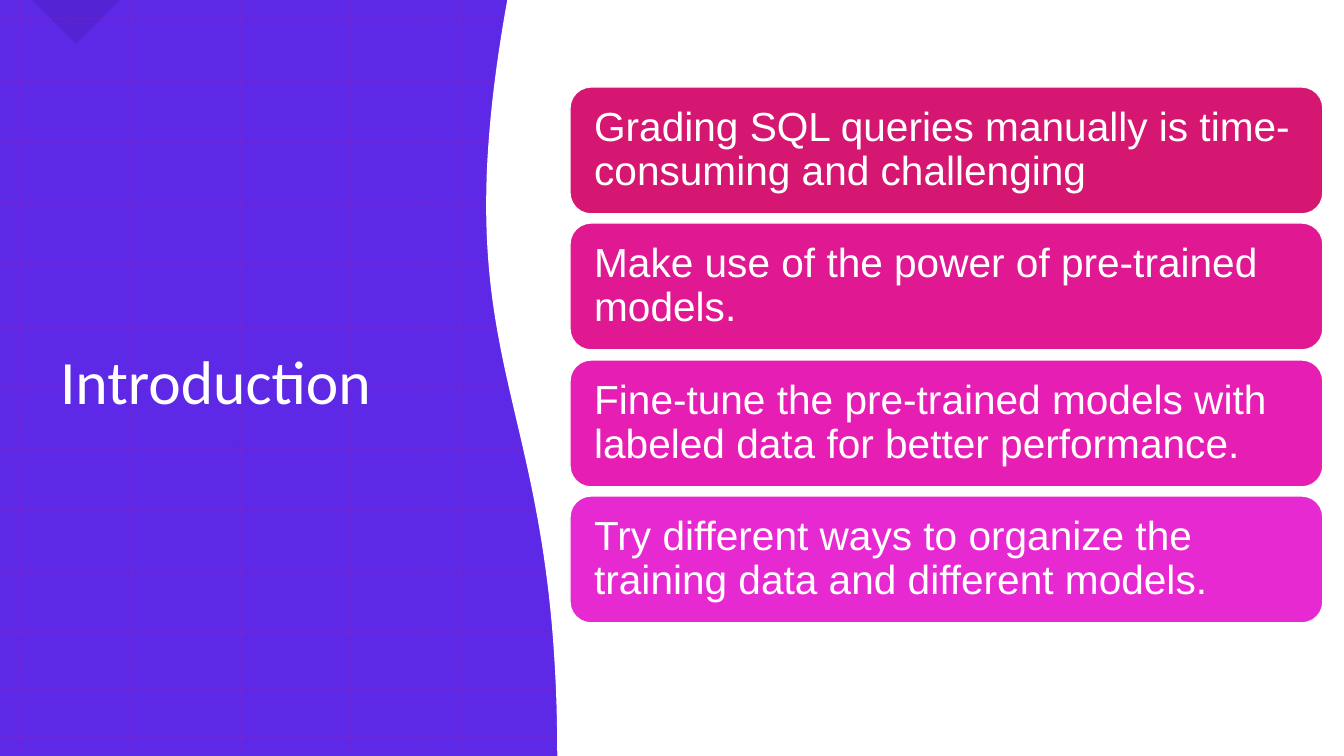
from dataclasses import dataclass

from lxml import etree
from pptx import Presentation
from pptx.dml.color import RGBColor
from pptx.enum.dml import MSO_LINE
from pptx.enum.shapes import MSO_CONNECTOR, MSO_SHAPE
from pptx.enum.text import MSO_ANCHOR, MSO_AUTO_SIZE, PP_ALIGN
from pptx.oxml.ns import qn
from pptx.util import Pt

WIDTH, HEIGHT = 1344, 756
EMU_PER_PX = 914400 / 100.8


@dataclass(frozen=True)
class Theme:
    panel: str = "5D29E7"
    corner: str = "2B0E7A"
    grid: str = "D51771"
    white: str = "FFFFFF"
    title_font: str = "Calibri"
    body_font: str = "Arial"
    title_size: int = 44
    body_size: int = 29


THEME = Theme()

CARDS = [
    ("Grading SQL queries manually is time-consuming and challenging", "D51771"),
    ("Make use of the power of pre-trained models.", "E01892"),
    ("Fine-tune the pre-trained models with labeled data for better performance.", "E61EB4"),
    ("Try different ways to organize the training data and different models.", "E729D2"),
]


def px(n):
    return round(n * EMU_PER_PX)


def set_alpha(fill_parent, percent):
    """Make the solid colour directly under the given XML element translucent."""
    color = fill_parent.find(qn("a:solidFill"))[0]
    etree.SubElement(color, qn("a:alpha")).set("val", str(percent * 1000))


def paint(sp, fill, line=None):
    sp.shadow.inherit = False
    sp.fill.solid()
    sp.fill.fore_color.rgb = RGBColor.from_string(fill)
    if line:
        sp.line.color.rgb = RGBColor.from_string(line)
        sp.line.width = Pt(1)
    else:
        sp.line.fill.background()


def add_block(slide, kind, x, y, w, h, fill, line=None):
    sp = slide.shapes.add_shape(kind, px(x), px(y), px(w), px(h))
    paint(sp, fill, line)
    return sp


def write(sp, text, *, font, size, color, inset=10):
    """Set left-aligned, vertically centred text with tight line spacing."""
    tf = sp.text_frame
    tf.word_wrap = True
    tf.auto_size = MSO_AUTO_SIZE.NONE
    tf.vertical_anchor = MSO_ANCHOR.MIDDLE
    tf.margin_left = tf.margin_right = px(inset)
    p = tf.paragraphs[0]
    p.alignment = PP_ALIGN.LEFT
    p.line_spacing = 0.9
    r = p.add_run()
    r.text = text
    r.font.name = font
    r.font.size = Pt(size)
    r.font.color.rgb = RGBColor.from_string(color)


def add_grid_line(group, x1, y1, x2, y2):
    cx = group.shapes.add_connector(MSO_CONNECTOR.STRAIGHT, px(x1), px(y1), px(x2), px(y2))
    cx.line.color.rgb = RGBColor.from_string(THEME.grid)
    cx.line.width = Pt(1.5)
    cx.line.dash_style = MSO_LINE.ROUND_DOT
    set_alpha(cx.line._get_or_add_ln(), 20)
    etree.SubElement(cx._element.spPr, qn("a:effectLst"))


def add_grid(slide):
    group = slide.shapes.add_group_shape()
    for x in [*range(21, 1232, 110), 1322]:
        add_grid_line(group, x, 0, x, HEIGHT)
    for y in [*(round(19 + 61.4 * i) for i in range(11)), 688, 737]:
        add_grid_line(group, 0, y, WIDTH, y)


def bezier(start, c1, c2, end, steps=60):
    """Return points along a cubic curve, both ends included."""
    points = []
    for i in range(steps + 1):
        t = i / steps
        weights = ((1 - t) ** 3, 3 * t * (1 - t) ** 2, 3 * t * t * (1 - t), t ** 3)
        points.append(tuple(
            sum(w * v for w, v in zip(weights, axis))
            for axis in zip(start, c1, c2, end)))
    return points


def add_wave(slide):
    edge = bezier((558, HEIGHT), (558, 379), (440, 377), (508, 0))
    fb = slide.shapes.build_freeform(px(WIDTH), px(0))
    fb.add_line_segments(
        [(px(x), px(y)) for x, y in [(WIDTH, HEIGHT), *edge]], close=True)
    paint(fb.convert_to_shape(), THEME.white, THEME.white)


def add_title(slide, text):
    title = slide.shapes.title
    title.left, title.top, title.width, title.height = px(50), px(80), px(411), px(610)
    write(title, text, font=THEME.title_font, size=THEME.title_size, color=THEME.white)
    slide.shapes._spTree.append(title._element)  # in front of the panel


def add_cards(slide):
    for i, (text, fill) in enumerate(CARDS):
        card = add_block(slide, MSO_SHAPE.ROUNDED_RECTANGLE,
                         570, 87 + 136 * i + i // 2, 753, 127, fill, THEME.white)
        write(card, text, font=THEME.body_font, size=THEME.body_size,
              color=THEME.white, inset=18)


def main():
    prs = Presentation()
    prs.slide_width, prs.slide_height = px(WIDTH), px(HEIGHT)
    slide = prs.slides.add_slide(prs.slide_layouts[5])

    add_block(slide, MSO_SHAPE.RECTANGLE, 0, 0, WIDTH, HEIGHT, THEME.panel)
    corner = add_block(slide, MSO_SHAPE.RIGHT_TRIANGLE, 45, -31, 62, 62, THEME.corner)
    corner.rotation = 315
    set_alpha(corner._element.spPr, 17)
    add_grid(slide)
    add_title(slide, "Introduction")
    add_wave(slide)
    add_cards(slide)

    prs.save("out.pptx")


if __name__ == "__main__":
    main()
